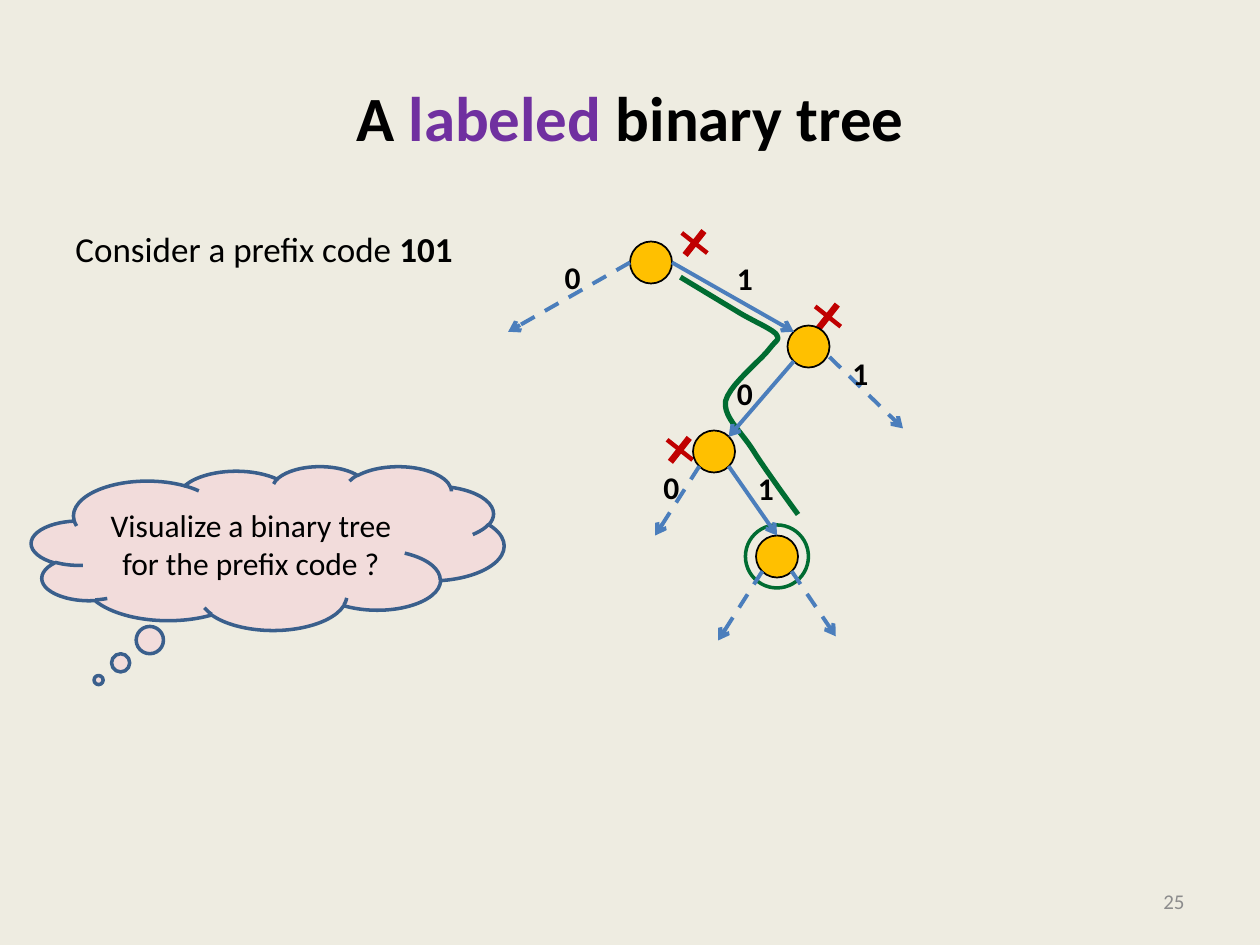
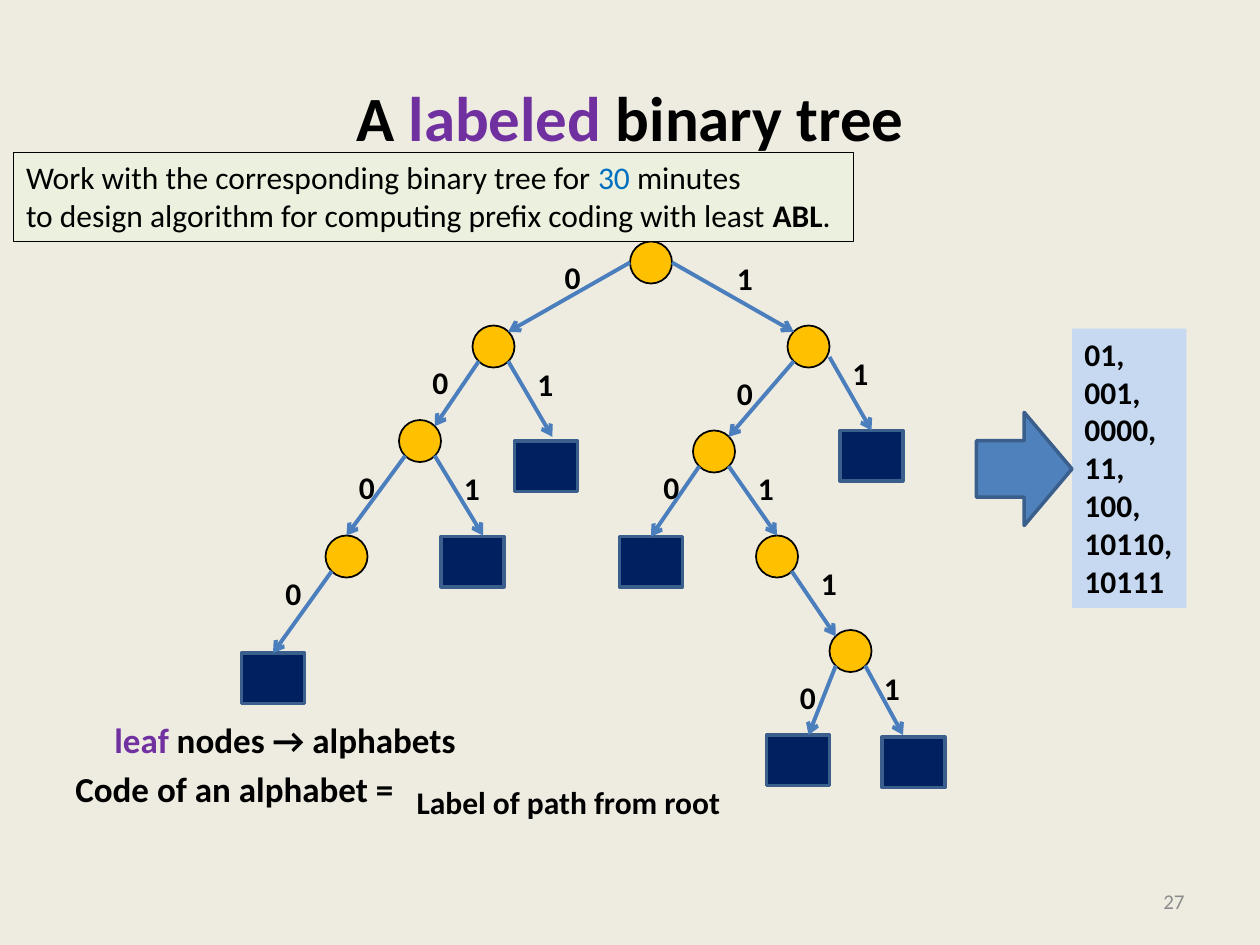
from collections import namedtuple
from lxml.etree import SubElement
from pptx import Presentation
from pptx.dml.color import RGBColor
from pptx.enum.dml import MSO_LINE
from pptx.enum.shapes import MSO_CONNECTOR, MSO_SHAPE
from pptx.enum.text import MSO_ANCHOR, PP_ALIGN
from pptx.oxml.ns import qn
from pptx.util import Inches, Pt

FONT = "Calibri"
BLACK = RGBColor(0x00, 0x00, 0x00)
PAPER = RGBColor(0xEE, 0xEC, 0xE1)
PURPLE = RGBColor(0x70, 0x30, 0xA0)
GREY = RGBColor(0x8C, 0x8C, 0x8C)
GREEN = RGBColor(0x00, 0x6C, 0x31)
RED = RGBColor(0xC0, 0x00, 0x00)
EDGE_BLUE = RGBColor(0x4B, 0x7E, 0xBC)
OUTLINE_BLUE = RGBColor(0x3A, 0x5F, 0x8C)
ARROW_BLUE = RGBColor(0x4F, 0x81, 0xBD)
NUMBER_BLUE = RGBColor(0x00, 0x70, 0xC0)
LEAF_NAVY = RGBColor(0x00, 0x20, 0x60)
PALE_BLUE = RGBColor(0xC6, 0xD9, 0xF1)
PALE_GREEN = RGBColor(0xEB, 0xF1, 0xDE)
PINK = RGBColor(0xF2, 0xDC, 0xDB)
GOLD = RGBColor(0xFF, 0xC0, 0x00)

# The page is a grid of 120 columns and 90 rows
COLUMNS, ROWS = 120, 90
Box = namedtuple("Box", "left top width height")
PAGE = Box(0, 0, Inches(10), Inches(7.5))

# Tree parts are named by the path of labels that leads to them
NODE_SIZE, LEAF_SIZE = (4, 4), (6, 4.8)
NODES = {"": (60, 23), "0": (45, 31), "1": (75, 31), "00": (38, 40),
         "10": (66, 41), "000": (31, 51), "101": (72, 51), "1011": (79, 60)}
LEAVES = {"01": (49, 42), "11": (80, 41), "001": (42, 51.1), "100": (59, 51.1),
          "0000": (23, 62.2), "10110": (73, 70), "10111": (84, 70.2)}
TIPS = {"0": (48.4, 31.6), "1": (75.6, 31.6), "00": (41.4, 40.6),
        "01": (52.6, 41.6), "10": (69.4, 41.6), "11": (83.2, 41.2),
        "000": (33, 51), "001": (46, 51), "100": (62.4, 51), "101": (74, 51),
        "0000": (26.4, 62.2), "1010": (68.4, 61), "1011": (79.6, 60.6),
        "10110": (77, 70), "10111": (86, 70)}
LABELS = {"0": (52.6, 24), "1": (69, 24.1), "00": (40, 34), "01": (50, 34.2),
          "10": (69, 35), "11": (80, 33.1), "000": (33, 44), "001": (43, 44.1),
          "100": (62, 44), "101": (71, 44.1), "0000": (26, 54.1),
          "1011": (77, 53.1), "10110": (75, 64), "10111": (83, 63.1)}
# Where an edge leaves its parent node, measured from the node's corner
LEFT_EXIT, RIGHT_EXIT = (0.6, 3.4), (3.4, 3.4)
SIDE_EXITS = {"0": (0, 2), "1": (4, 2), "11": (4, 3)}


def point(box, column, row):
    return (int(box.left + box.width * column / COLUMNS),
            int(box.top + box.height * row / ROWS))


def cells(box, column, row, width, height):
    """Return the part of a box that covers the given cells."""
    return Box(*point(box, column, row),
               int(box.width * width / COLUMNS), int(box.height * height / ROWS))


def write(frame, paras, size, bold=False, color=BLACK, align=PP_ALIGN.LEFT,
          anchor=MSO_ANCHOR.TOP):
    """Fill a frame; a span is (text, own colour or None, own bold or None)."""
    frame.word_wrap = True
    frame.vertical_anchor = anchor
    for number, spans in enumerate(paras):
        para = frame.add_paragraph() if number else frame.paragraphs[0]
        para.alignment = align
        for text, own_color, own_bold in spans:
            span = para.add_run()
            span.text = text
            if own_color is not None:
                span.font.color.rgb = own_color
            if own_bold is not None:
                span.font.bold = own_bold
        para.font.name = FONT
        para.font.size = Pt(size)
        para.font.bold = bold
        para.font.color.rgb = color
    return frame


def plain(*lines):
    return [[(line, None, None)] for line in lines]


def paint(shape, fill=None, line=None, weight=1):
    if fill is None:
        shape.fill.background()
    else:
        shape.fill.solid()
        shape.fill.fore_color.rgb = fill
    if line is None:
        shape.line.fill.background()
    else:
        shape.line.color.rgb = line
        shape.line.width = Pt(weight)


def add_text(page, box, paras, size, fill=None, line=None, **style):
    shape = page.shapes.add_textbox(*box)
    paint(shape, fill, line, 0.75)
    return write(shape.text_frame, paras, size, **style)


def add_figure(page, kind, box, fill=None, line=None, weight=1):
    shape = page.shapes.add_shape(kind, *box)
    shape.shadow.inherit = False
    paint(shape, fill, line, weight)
    return shape


def add_edge(page, start, end, dashed, target=None):
    edge = page.shapes.add_connector(MSO_CONNECTOR.STRAIGHT, *start, *end)
    edge.line.color.rgb = EDGE_BLUE
    edge.line.width = Pt(2.25)
    if dashed:
        edge.line.dash_style = MSO_LINE.DASH
    SubElement(edge.line._get_or_add_ln(), qn("a:tailEnd"), type="arrow")
    SubElement(edge._element.spPr, qn("a:effectLst"))
    if target is not None:
        edge.end_connect(target, 0)


def add_page(deck, number):
    """Add a page with the shared title and its page number."""
    page = deck.slides.add_slide(deck.slide_layouts[5])
    title = page.shapes.title
    title.left, title.top, title.width, title.height = cells(PAGE, 6, 3.6, 108, 15)
    write(title.text_frame,
          [[("A ", None, None), ("labeled", PURPLE, None), (" binary tree", None, None)]],
          36, bold=True, align=PP_ALIGN.CENTER, anchor=MSO_ANCHOR.MIDDLE)
    add_text(page, cells(PAGE, 86, 83.4, 28, 4.8), plain(number), 12,
             color=GREY, align=PP_ALIGN.RIGHT, anchor=MSO_ANCHOR.MIDDLE)
    return page


def draw_tree(page, box, nodes, leaves, edges, labels, dashed=(), tips=TIPS):
    shapes = {}
    # Branch nodes and leaves
    for code in nodes:
        shapes[code] = add_figure(page, MSO_SHAPE.OVAL,
                                  cells(box, *NODES[code], *NODE_SIZE), GOLD, BLACK)
    for code in leaves:
        shapes[code] = add_figure(page, MSO_SHAPE.RECTANGLE,
                                  cells(box, *LEAVES[code], *LEAF_SIZE),
                                  LEAF_NAVY, OUTLINE_BLUE, 2)
    # Edges, joined to a child when they end at the middle of its top
    for code in edges:
        column, row = NODES[code[:-1]]
        across, down = SIDE_EXITS.get(
            code, LEFT_EXIT if code.endswith("0") else RIGHT_EXIT)
        tip = point(box, *tips[code])
        target = shapes.get(code)
        if target is not None:
            middle = target.left + target.width / 2
            near = box.width / COLUMNS * 0.45
            if max(abs(middle - tip[0]), abs(target.top - tip[1])) > near:
                target = None
        add_edge(page, point(box, column + across, row + down), tip,
                 code in dashed, target)
    # Edge labels
    for code in labels:
        add_text(page, cells(box, *LABELS[code], 4, 4.8), plain(code[-1]), 18, bold=True)


def curve(start, first, second, end, steps=10):
    """Yield points along a cubic curve, without its start."""
    for step in range(1, steps + 1):
        t = step / steps
        weights = ((1 - t) ** 3, 3 * t * (1 - t) ** 2, 3 * t * t * (1 - t), t ** 3)
        yield tuple(sum(w * p[axis] for w, p in zip(weights, (start, first, second, end)))
                    for axis in (0, 1))


def draw_code_path(page, box):
    """Trace the path 101, ring its end and cross out the inner nodes."""
    start, bend = (64.8, 26.4), (70.6, 29.9)
    arcs = [((72, 30.7), (73.4, 31.3), (73.9, 31.8)),
            ((74.3, 32.4), (74, 32.3), (73.3, 33.2)),
            ((72.5, 34.3), (69.5, 36.6), (69.1, 38.2)),
            ((68.9, 39.7), (70.4, 40.9), (71.6, 42.7)),
            ((72.7, 44.5), (76, 49), (76, 49))]
    trail = [bend]
    for arc in arcs:
        trail.extend(curve(trail[-1], *arc))
    builder = page.shapes.build_freeform(*point(box, *start))
    builder.add_line_segments([point(box, *spot) for spot in trail], close=False)
    path = builder.convert_to_shape()
    path.shadow.inherit = False
    paint(path, line=GREEN, weight=3)
    add_figure(page, MSO_SHAPE.OVAL, cells(box, 71, 50, 6, 6), line=GREEN, weight=2)
    for corner in ((63.2, 41.4), (77.3, 28.7), (64.6, 21.7)):
        cross = add_figure(page, MSO_SHAPE.CROSS, cells(box, *corner, 3.1, 2.9), RED)
        cross.rotation = 38.3
        cross.adjustments[0] = 0.428


def draw_thought(page, box):
    cloud = add_figure(page, MSO_SHAPE.CLOUD_CALLOUT, box, PINK, OUTLINE_BLUE, 2)
    cloud.adjustments[0], cloud.adjustments[1] = -0.358, 0.806
    write(cloud.text_frame, plain("Visualize a binary tree for the prefix code ?"), 18,
          align=PP_ALIGN.CENTER, anchor=MSO_ANCHOR.MIDDLE)


def draw_code_list(page, box):
    """Block arrow on the left two fifths, list of codes on the rest."""
    arrow_width = int(box.width * 0.455)
    add_text(page, Box(box.left + arrow_width, box.top, box.width - arrow_width, box.height),
             plain("01,", "001,", "0000,", "11,", "100,", "10110,", "10111"),
             18, fill=PALE_BLUE, bold=True)
    add_figure(page, MSO_SHAPE.RIGHT_ARROW,
               Box(box.left, box.top + int(box.height * 0.3),
                   arrow_width, int(box.height * 0.405)),
               ARROW_BLUE, OUTLINE_BLUE, 2)


def draw_definitions(page, box):
    frame = add_text(page, cells(box, 0, 0, 108, 10),
                     [[("leaf", PURPLE, None), (" nodes → alphabets", None, None)],
                      [("Code of an alphabet =", None, None)]], 20, bold=True)
    frame.paragraphs[0]._p.get_or_add_pPr().set("marL", str(Inches(0.31)))
    frame.paragraphs[1].space_before = Pt(4)
    add_text(page, cells(box, 32.5, 6.2, 32.3, 4.8), plain("Label of path from root"),
             18, fill=PAPER, bold=True)


def build_prefix_page(deck):
    page = add_page(deck, "25")
    add_text(page, cells(PAGE, 6, 21.1, 54, 5),
             [[("Consider a prefix code ", None, None), ("101", None, True)]], 20)
    draw_code_path(page, PAGE)
    draw_tree(page, PAGE, nodes=("", "1", "10", "101"), leaves=(),
              edges=("0", "1", "10", "11", "100", "101", "1010", "1011"),
              labels=("0", "1", "10", "11", "100", "101"),
              dashed=("0", "11", "100", "1010", "1011"),
              tips={**TIPS, "11": (86, 40.8)})
    draw_thought(page, cells(PAGE, 3, 44.4, 45, 15.6))


def build_full_tree_page(deck):
    page = add_page(deck, "27")
    definitions = point(PAGE, 6, 67.8)
    draw_definitions(page, Box(*definitions, PAGE.width, PAGE.height))
    draw_tree(page, PAGE, NODES, LEAVES, edges=LABELS, labels=LABELS)
    draw_code_list(page, cells(PAGE, 93, 31.3, 20, 26.6))
    # Task note
    add_text(page, cells(PAGE, 1.3, 14.5, 80, 8.5),
             [[("Work with the corresponding binary tree for ", None, None),
               ("30", NUMBER_BLUE, None), (" minutes", None, None)],
              [("to design algorithm for computing prefix coding with least ", None, None),
               ("ABL", None, True), (".", None, None)]],
             18, fill=PALE_GREEN, line=BLACK)


def main():
    deck = Presentation()
    deck.slide_width, deck.slide_height = PAGE.width, PAGE.height
    background = deck.slide_master.background.fill
    background.solid()
    background.fore_color.rgb = PAPER
    build_prefix_page(deck)
    build_full_tree_page(deck)
    deck.save("out.pptx")


if __name__ == "__main__":
    main()
